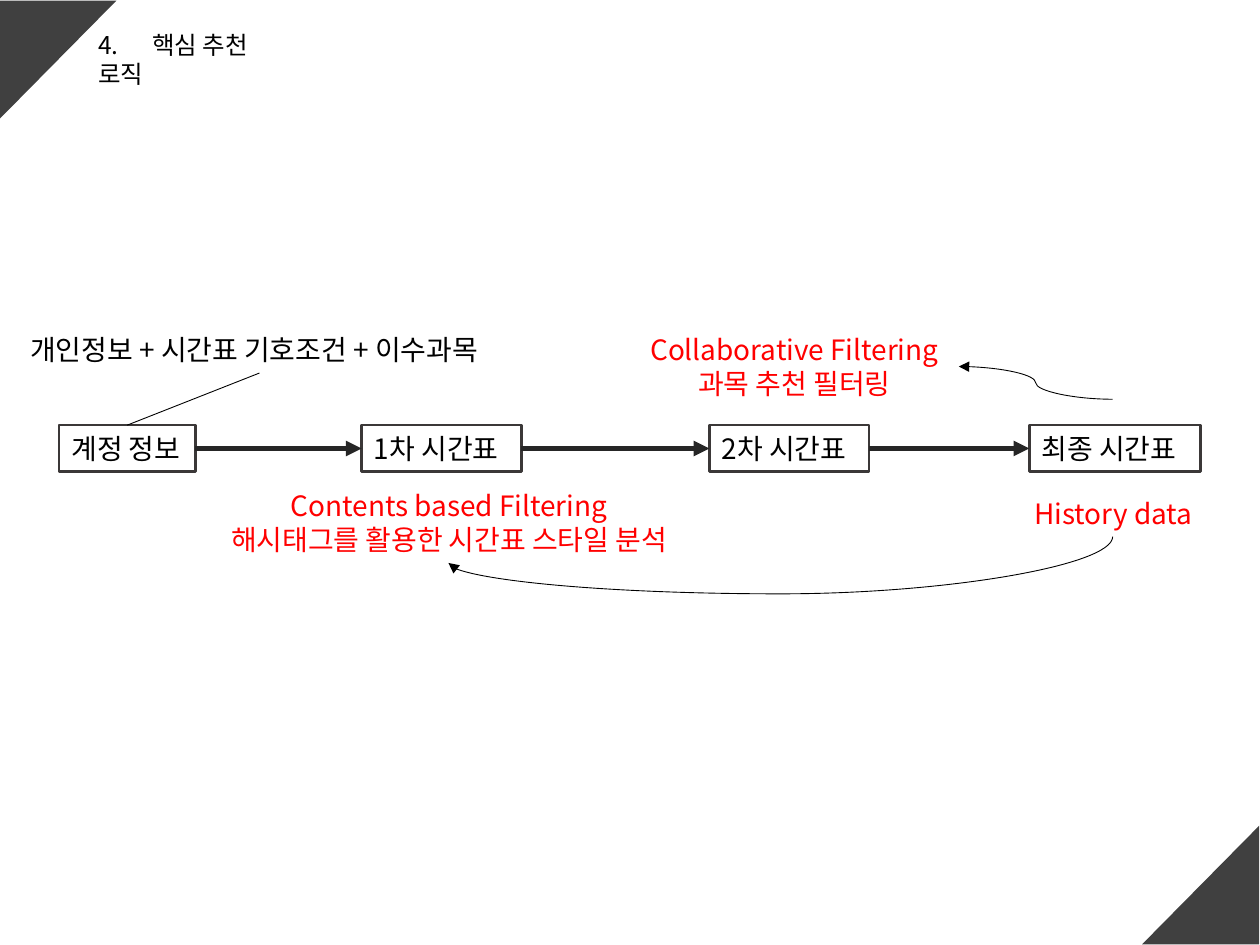
from lxml import etree
from pptx import Presentation
from pptx import util as u
from pptx.dml.color import RGBColor
from pptx.enum import shapes, text
from pptx.oxml.ns import qn

FONT = "Noto Sans CJK KR"
BLACK = RGBColor(0x00, 0x00, 0x00)
RED = RGBColor(0xFF, 0x00, 0x00)
CORNER = RGBColor(0x40, 0x40, 0x40)
BORDER = RGBColor(0x3B, 0x38, 0x38)
ARROW = RGBColor(0x26, 0x26, 0x26)
LEFT, CENTER = text.PP_ALIGN.LEFT, text.PP_ALIGN.CENTER

# Content; all lengths in cm
TITLE = ("4.\t핵심 추천 로직", (1.73, 0.48, 4.47, 0.86))
TITLE_TAB = 1.09
STEP_TOP, STEP_HEIGHT = 8.57, 0.94
STEPS = [  # label, left, width
    ("계정 정보", 1.19, 2.75),
    ("1차 시간표", 7.29, 3.22),
    ("2차 시간표", 14.3, 3.22),
    ("최종 시간표", 20.75, 3.45),
]
NOTES = [  # lines, place, colour, alignment
    (["개인정보 + 시간표 기호조건 + 이수과목"], (0.36, 6.58, 9.73, 0.94), BLACK, LEFT),
    (["Contents based Filtering", "해시태그를 활용한 시간표 스타일 분석"],
     (4.14, 9.73, 9.83, 1.63), RED, CENTER),
    (["Collaborative Filtering", "과목 추천 필터링"], (12.7, 6.58, 6.63, 1.63), RED, CENTER),
    (["History data"], (19.13, 9.88, 6.63, 0.94), RED, CENTER),
]
CORNERS = [((-0.03, 0.03), 90), ((23.01, 16.66), 270)]  # left and top, rotation

prs = Presentation()
prs.slide_width, prs.slide_height = u.Cm(25.4), u.Cm(19.05)
slide = prs.slides.add_slide(prs.slide_layouts[6])


def cm(values):
    return [u.Cm(value) for value in values]


def write(holder, lines, size, color, align):
    frame = holder.text_frame
    frame.word_wrap = True
    frame.auto_size = text.MSO_AUTO_SIZE.SHAPE_TO_FIT_TEXT
    for number, line in enumerate(lines):
        paragraph = frame.add_paragraph() if number else frame.paragraphs[0]
        paragraph.alignment = align
        run = paragraph.add_run()
        run.text = line
        run.font.size, run.font.name = u.Pt(size), FONT
        run.font.color.rgb = color
        east_asian = etree.SubElement(run.font._element, qn("a:ea"))
        east_asian.set("typeface", FONT)


def connect(kind, start, end, color, width, arrow=True):
    link = slide.shapes.add_connector(kind, *cm(start), *cm(end))
    link.line.color.rgb, link.line.width = color, u.Pt(width)
    if arrow:
        tip = etree.SubElement(link.line._get_or_add_ln(), qn("a:tailEnd"))
        tip.set("type", "triangle")
    etree.SubElement(link._element.spPr, qn("a:effectLst"))
    return link


# Corner triangles
for place, rotation in CORNERS:
    corner = slide.shapes.add_shape(
        shapes.MSO_SHAPE.RIGHT_TRIANGLE, *cm(place), *cm((2.39, 2.36)))
    corner.rotation = rotation
    corner.shadow.inherit = False
    corner.fill.solid()
    corner.fill.fore_color.rgb = CORNER
    corner.line.fill.background()

# Title, with a tab stop after the number
title_line, title_place = TITLE
title = slide.shapes.add_textbox(*cm(title_place))
write(title, [title_line], 14, BLACK, LEFT)
tabs = etree.SubElement(title.text_frame.paragraphs[0]._p.get_or_add_pPr(), qn("a:tabLst"))
etree.SubElement(tabs, qn("a:tab"), pos=str(u.Cm(TITLE_TAB)), algn="l")

# Step boxes
steps = []
for label, left, width in STEPS:
    step = slide.shapes.add_shape(
        shapes.MSO_SHAPE.RECTANGLE, *cm((left, STEP_TOP, width, STEP_HEIGHT)))
    step.shadow.inherit = False
    step.fill.background()
    step.line.color.rgb, step.line.width = BORDER, u.Pt(1.5)
    write(step, [label], 16, BLACK, LEFT)
    steps.append(step)

# Arrows from each step to the next
for before, after in zip(steps, steps[1:]):
    arrow = connect(shapes.MSO_CONNECTOR.STRAIGHT, (0, 0), (1, 1), ARROW, 3)
    arrow.begin_connect(before, 3)
    arrow.end_connect(after, 1)

# Notes around the steps
for lines, place, color, align in NOTES:
    write(slide.shapes.add_textbox(*cm(place)), lines, 16, color, align)

# Leader from the account step to its note
leader = connect(shapes.MSO_CONNECTOR.STRAIGHT, (2.57, 8.57), (5.23, 7.52), BLACK, 0.5, False)
leader.begin_connect(steps[0], 0)

# Curves from the history data to both filters
connect(shapes.MSO_CONNECTOR.CURVE, (22.43, 8.05), (19.33, 7.39), BLACK, 0.5)
# The lower curve is laid out upright, turned a quarter and bulged downwards
loop = connect(shapes.MSO_CONNECTOR.CURVE, (15.47, 4.39), (16, 17.78), BLACK, 0.5)
loop._element.spPr.find(qn("a:xfrm")).set("rot", str(90 * 60000))
adjust = loop._element.spPr.find(qn("a:prstGeom")).find(qn("a:avLst"))
etree.SubElement(adjust, qn("a:gd"), name="adj1", fmla="val 217500")

prs.save("out.pptx")
